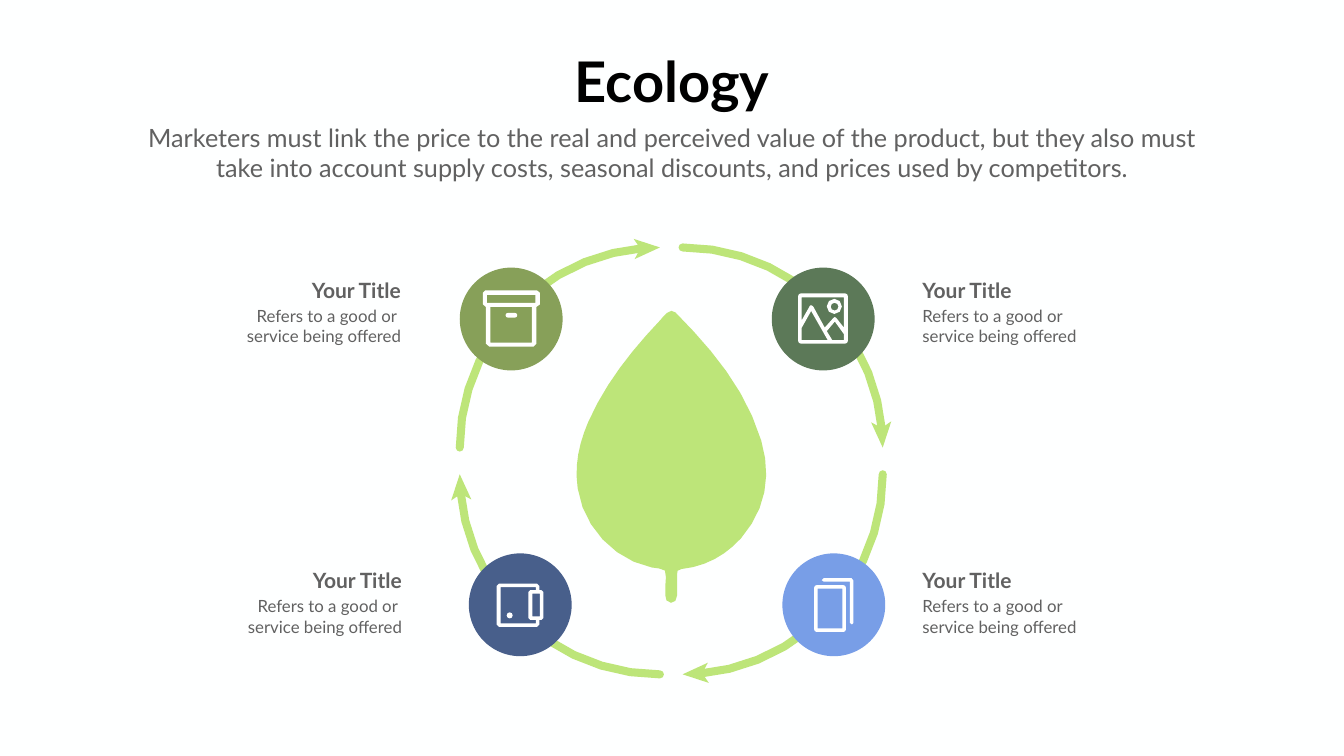
import math
import pptx
import pptx.dml.color
import pptx.enum.shapes
import pptx.enum.text
import pptx.util
from pptx.util import Inches

COLOURS = {
    "background": "FEFFFF", "leaf": "BDE579", "icon": "FFFFFF",
    "heading": "000000", "text": "616161",
    "olive": "87A059", "green": "5C7958", "navy": "485F8B", "blue": "789EE7",
}
RGB = {name: pptx.dml.color.RGBColor.from_string(value) for name, value in COLOURS.items()}
ALIGN = pptx.enum.text.PP_ALIGN

presentation = pptx.Presentation()
presentation.slide_width = Inches(26.66)
presentation.slide_height = Inches(15)
slide = presentation.slides.add_slide(presentation.slide_layouts[6])
slide.background.fill.solid()
slide.background.fill.fore_color.rgb = RGB["background"]


def fill_outline(contours, colour):
    """Draw one filled freeform; contours after the first may cut holes in it."""
    contours = [[(Inches(x), Inches(y)) for x, y in points] for points in contours]
    builder = slide.shapes.build_freeform(*contours[0][0])
    for points in contours:
        if points is not contours[0]:
            builder.move_to(*points[0])
        builder.add_line_segments(points[1:], close=True)
    shape = builder.convert_to_shape()
    shape.shadow.inherit = False
    shape.fill.solid()
    shape.fill.fore_color.rgb = RGB[colour]
    shape.line.fill.background()


def rounded_box(left, top, right, bottom, radius=0):
    """Return the points of a box, clockwise from its bottom right corner."""
    if not radius:
        return [(right, bottom), (left, bottom), (left, top), (right, top)]
    corners = [(right - radius, bottom - radius), (left + radius, bottom - radius),
               (left + radius, top + radius), (right - radius, top + radius)]
    return [(x + radius * math.cos(math.radians(quarter * 90 + turn)),
             y + radius * math.sin(math.radians(quarter * 90 + turn)))
            for quarter, (x, y) in enumerate(corners) for turn in (0, 45, 90)]


# Leaf: each segment is two control points and an end point
leaf = [(15.1, 8.74)]
leaf_segments = [
    [(14.79, 7.72), (14.13, 6.94), (13.4, 6.2)],
    [(13.35, 6.15), (13.29, 6.16), (13.23, 6.21)],
    [(13.19, 6.25), (13.14, 6.29), (13.1, 6.35)],
    [(12.53, 6.95), (12.01, 7.6), (11.67, 8.37)],
    [(11.49, 8.79), (11.39, 9.22), (11.46, 9.69)],
    [(11.57, 10.45), (12.18, 11.11), (12.93, 11.26)],
    [(13.01, 11.28), (13.14, 11.27), (13.19, 11.32)],
    [(13.23, 11.39), (13.2, 11.51), (13.2, 11.6)],
    [(13.2, 11.67), (13.2, 11.75), (13.2, 11.82)],
    [(13.2, 11.89), (13.22, 11.95), (13.31, 11.96)],
    [(13.38, 11.96), (13.43, 11.91), (13.43, 11.82)],
    [(13.43, 11.67), (13.43, 11.54), (13.43, 11.41)],
    [(13.42, 11.33), (13.44, 11.3), (13.52, 11.29)],
    [(14, 11.24), (14.39, 11.02), (14.7, 10.68)],
    [(15.19, 10.11), (15.31, 9.45), (15.1, 8.74)],
]
for first, second, end in leaf_segments:
    start = leaf[-1]
    steps = 6 if math.dist(start, end) > 0.5 else 2
    for step in range(1, steps + 1):
        t = step / steps
        leaf.append(tuple(
            (1 - t) ** 3 * a + 3 * t * (1 - t) ** 2 * b + 3 * t * t * (1 - t) * c + t ** 3 * d
            for a, b, c, d in zip(start, first, second, end)))
fill_outline([leaf], "leaf")

# Four clockwise round-ended bands, each followed by an arrowhead
RADIUS, HALF_WIDTH, SWEEP = 3.97, 0.08, 85
ARROWHEAD = [(0, 0), (-0.5, -0.23), (-0.39, -0.02), (-0.52, 0.17)]  # along, outward
turns = [SWEEP * step / 10 for step in range(11)]
cap = [(HALF_WIDTH * math.cos(math.radians(turn)), HALF_WIDTH * math.sin(math.radians(turn)))
       for turn in (45, 90, 135)]
for x, y, start in [(13.09, 8.88, 180), (13.54, 8.88, 270), (13.09, 9.41, 90), (13.54, 9.41, 0)]:
    polar = [(RADIUS + HALF_WIDTH, start + turn) for turn in turns]
    polar += [(RADIUS + out, start + SWEEP + math.degrees(along / RADIUS)) for out, along in cap]
    polar += [(RADIUS - HALF_WIDTH, start + turn) for turn in reversed(turns)]
    polar += [(RADIUS - out, start - math.degrees(along / RADIUS)) for out, along in cap]
    fill_outline([[(x + distance * math.cos(math.radians(angle)),
                    y + distance * math.sin(math.radians(angle))) for distance, angle in polar]],
                 "leaf")
    tip = math.radians(start + 90)
    cosine, sine = math.cos(tip), math.sin(tip)
    fill_outline([[(x + (RADIUS + out) * cosine - along * sine,
                    y + (RADIUS + out) * sine + along * cosine) for along, out in ARROWHEAD]],
                 "leaf")

DIAMETER = 2.04
for left, top, colour in [(15.31, 5.31, "green"), (15.52, 10.98, "blue"),
                          (9.12, 5.31, "olive"), (9.3, 10.98, "navy")]:
    circle = slide.shapes.add_shape(pptx.enum.shapes.MSO_SHAPE.OVAL, Inches(left), Inches(top),
                                    Inches(DIAMETER), Inches(DIAMETER))
    circle.shadow.inherit = False
    circle.fill.solid()
    circle.fill.fore_color.rgb = RGB[colour]
    circle.line.fill.background()

icon_parts = {
    "front page": [rounded_box(16.15, 11.61, 16.78, 12.54, 0.05),
                   rounded_box(16.22, 11.68, 16.71, 12.47)],
    "back page": [[(16.34, 11.47), (16.89, 11.47), (16.93, 11.52), (16.93, 12.36), (16.9, 12.39),
                   (16.86, 12.36), (16.86, 11.54), (16.34, 11.54), (16.3, 11.51)]],
    "landscape": [rounded_box(15.83, 5.82, 16.82, 6.82, 0.06),
                  [(16.74, 5.9), (16.74, 6.5), (16.59, 6.31), (16.56, 6.29), (16.53, 6.31),
                   (16.36, 6.5), (16.13, 6.08), (16.1, 6.06), (16.07, 6.06), (15.9, 6.36),
                   (15.9, 5.9)],
                  [(15.9, 6.51), (16.09, 6.17), (16.42, 6.75), (15.9, 6.75)],
                  [(16.51, 6.75), (16.4, 6.57), (16.56, 6.38), (16.74, 6.63), (16.74, 6.75)]],
    "sun": [rounded_box(16.4, 5.93, 16.7, 6.23, 0.15),
            rounded_box(16.48, 6.01, 16.63, 6.16, 0.07)],
    "wallet": [[(9.9, 11.58), (10.65, 11.58), (10.7, 11.63), (10.7, 11.71), (10.74, 11.71),
                (10.78, 11.75), (10.78, 12.26), (10.74, 12.3), (10.7, 12.3), (10.7, 12.39),
                (10.65, 12.44), (9.9, 12.44), (9.85, 12.39), (9.85, 11.63)],
               [(9.93, 12.37), (9.93, 11.65), (10.63, 11.65), (10.63, 11.71), (10.52, 11.71),
                (10.48, 11.75), (10.48, 12.26), (10.52, 12.3), (10.63, 12.3), (10.63, 12.37)],
               rounded_box(10.56, 11.78, 10.71, 12.23)],
    "wallet dot": [rounded_box(10.05, 12.15, 10.17, 12.27, 0.06)],
    "archive": [[(9.63, 5.76), (10.65, 5.76), (10.71, 5.81), (10.71, 6.04), (10.64, 6.09),
                 (10.64, 6.82), (10.58, 6.88), (9.71, 6.88), (9.64, 6.82), (9.64, 6.09),
                 (9.58, 6.04), (9.58, 5.81)],
                rounded_box(9.66, 5.85, 10.62, 6.01),
                rounded_box(9.73, 6.09, 10.55, 6.8)],
    "archive handle": [rounded_box(10.03, 6.21, 10.26, 6.3, 0.04)],
}
for contours in icon_parts.values():
    fill_outline(contours, "icon")

# Text: left, top, width, height, lines, size, bold, colour, alignment
texts = [
    (11.21, 0.88, 4.25, 1.45, ["Ecology"], 80, True, "heading", ALIGN.CENTER),
    (2.68, 2.38, 21.3, 1.31,
     ["Marketers must link the price to the real and perceived value of the product, but they "
      "also must take into account supply costs, seasonal discounts, and prices used by "
      "competitors."], 36, False, "text", ALIGN.CENTER),
]
for edge, top, alignment in [(8.05, 5.45, ALIGN.RIGHT), (8.07, 11.21, ALIGN.RIGHT),
                             (18.2, 5.45, ALIGN.LEFT), (18.2, 11.21, ALIGN.LEFT)]:
    on_left = alignment == ALIGN.RIGHT
    first_line = "Refers to a good or " if on_left else "Refers to a good or"
    for offset, width, height, lines, size, bold in [
            (0, 2.24, 0.71, ["Your Title"], 30, True),
            (0.57, 3.41, 1.04, [first_line, "service being offered"], 24, False)]:
        left = edge - width if on_left else edge
        texts.append((left, top + offset, width, height, lines, size, bold, "text", alignment))

for left, top, width, height, lines, size, bold, colour, alignment in texts:
    box = slide.shapes.add_textbox(Inches(left), Inches(top), Inches(width), Inches(height))
    box.text_frame.word_wrap = True
    box.text_frame.text = "\n".join(lines)
    for paragraph in box.text_frame.paragraphs:
        paragraph.alignment = alignment
        paragraph.font.name = "Lato"
        paragraph.font.size = pptx.util.Pt(size)
        paragraph.font.bold = bold
        paragraph.font.color.rgb = RGB[colour]

presentation.save("out.pptx")
